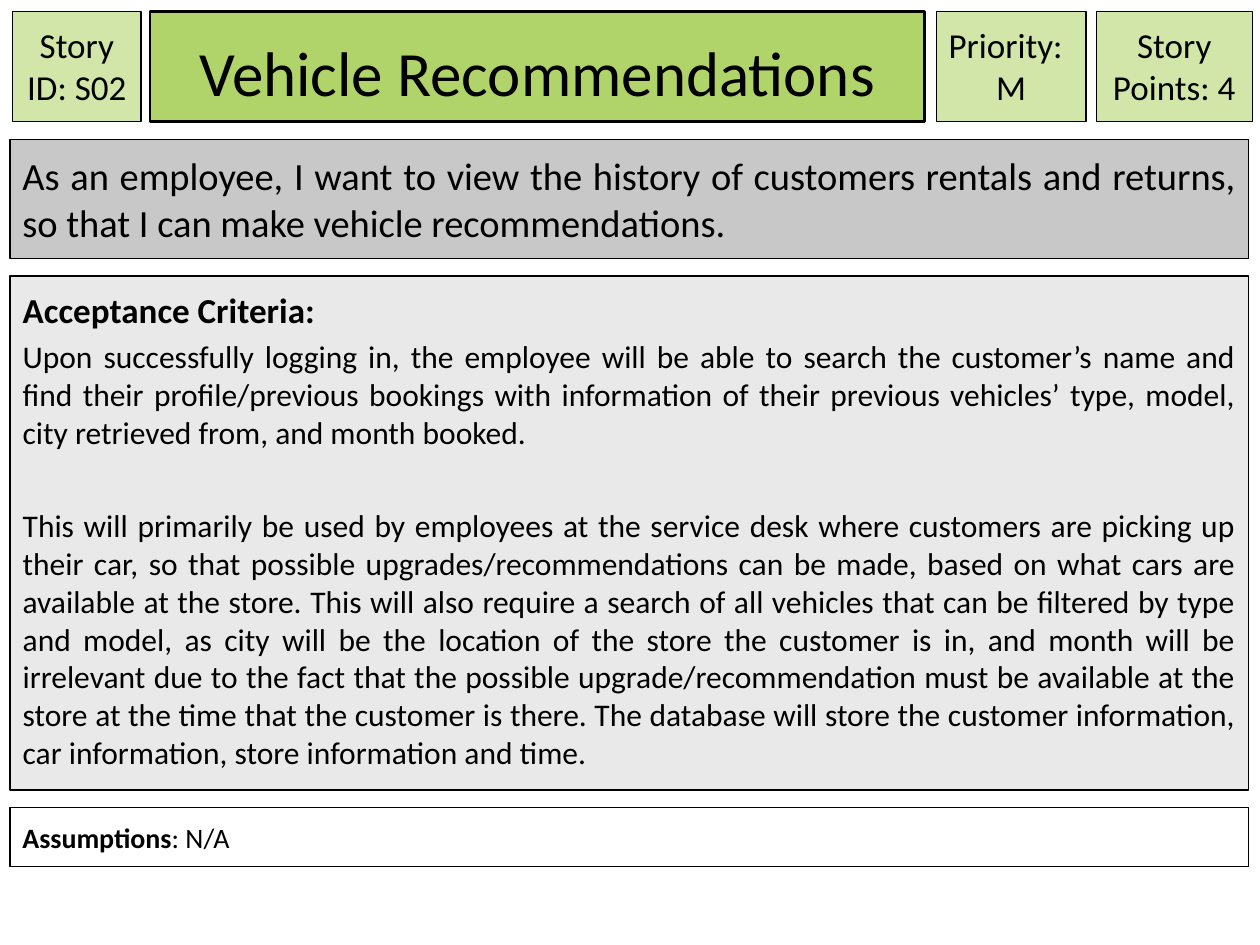
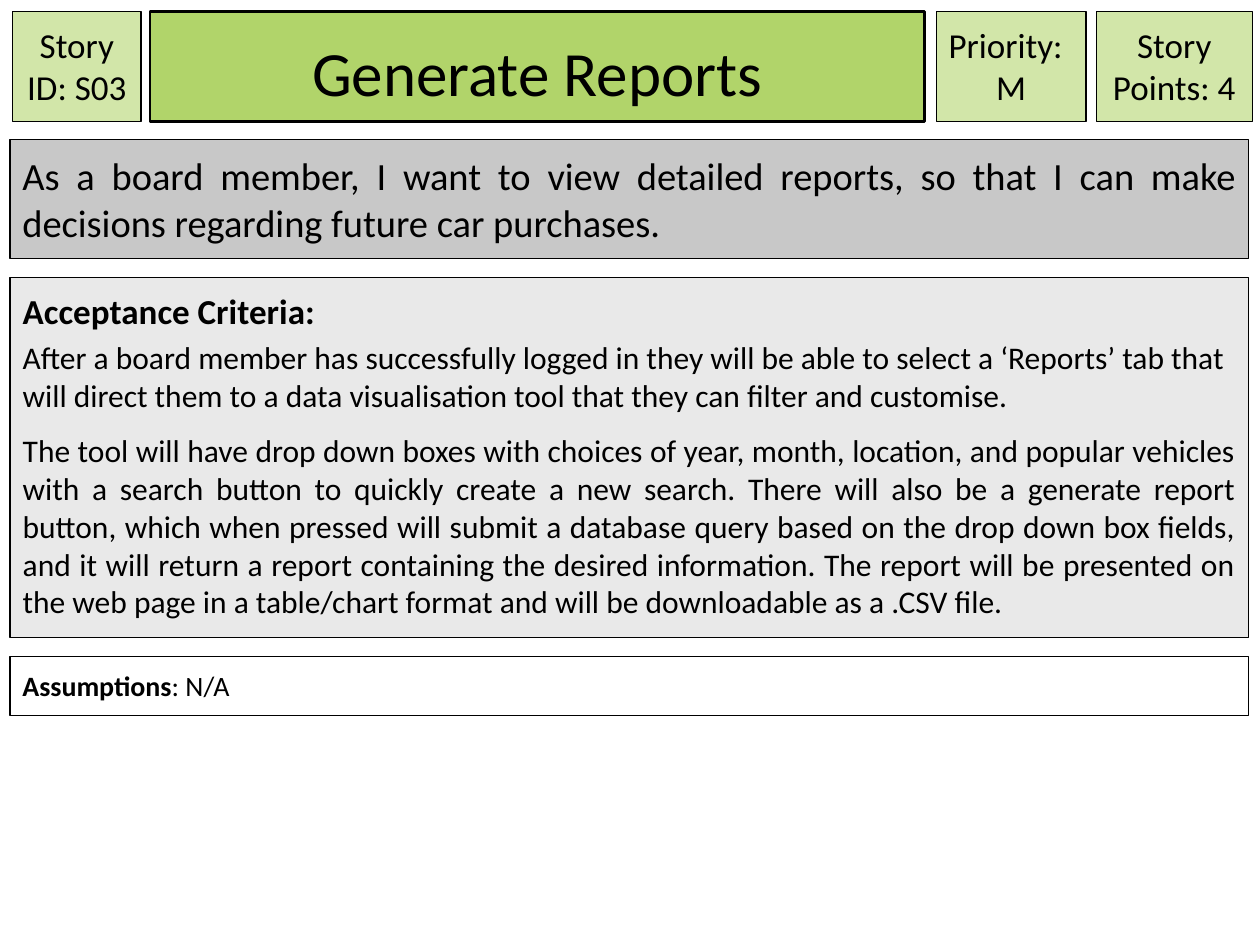
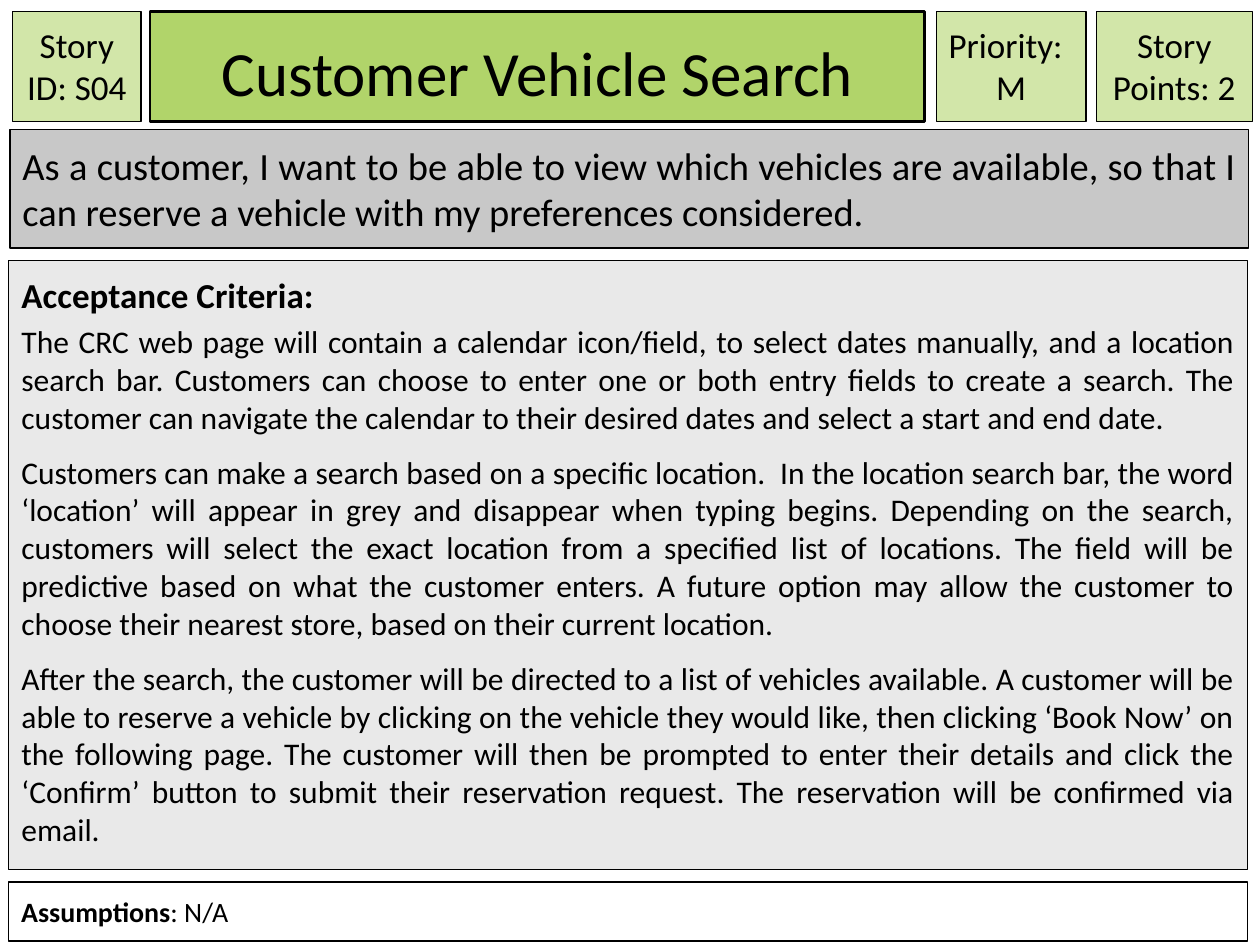
from dataclasses import dataclass
from lxml.etree import SubElement
from pptx import Presentation
from pptx.dml.color import RGBColor
from pptx.enum.shapes import MSO_SHAPE
from pptx.enum.text import MSO_ANCHOR, MSO_AUTO_SIZE, PP_ALIGN
from pptx.oxml.ns import qn
from pptx.util import Inches, Pt

COLUMNS, ROWS = 100, 75
CELL = Inches(0.1)
LEFT, CENTER, JUSTIFY = PP_ALIGN.LEFT, PP_ALIGN.CENTER, PP_ALIGN.JUSTIFY
BLACK, WHITE = "000000", "FFFFFF"
GREEN, PALE_GREEN = "B1D46A", "D2E6A9"
GREY, PALE_GREY = "C8C8C8", "E9E9E9"
HEADER_TOP, HEADER_HEIGHT = 0.9, 8.75
PANEL_WIDTH, STATEMENT_HEIGHT, ASSUMPTIONS_HEIGHT = 98.3, 9.4, 4.7
BODY_SPACING = {"space_before": Pt(3.8), "space_after": Pt(6)}
WIDE_SPACING = {"space_before": Pt(25.8), "space_after": Pt(6)}


def color(code):
    return RGBColor.from_string(code)


def apply(target, values):
    for name, value in values.items():
        setattr(target, name, value)


@dataclass
class Story:
    number: str
    points: int
    title: str
    statement: str
    criteria: list
    criteria_height: float
    statement_top: float = 11.1
    gap: float = 1.4
    panel_left: float = 0.8


class StoryDeck:
    font_name = "Calibri"

    def __init__(self):
        self.deck = Presentation()
        apply(self.deck, {"slide_width": COLUMNS * CELL, "slide_height": ROWS * CELL})
        self.page = None

    def add_page(self):
        self.page = self.deck.slides.add_slide(self.deck.slide_layouts[1])

    def style(self, box, area, fill, line_width=0.75, anchor=MSO_ANCHOR.TOP):
        names = ("left", "top", "width", "height")
        apply(box, {name: round(cells * CELL) for name, cells in zip(names, area)})
        box.fill.solid()
        box.fill.fore_color.rgb = color(fill)
        box.line.color.rgb = color(BLACK)
        box.line.width = Pt(line_width)
        frame = box.text_frame
        apply(frame, {"word_wrap": True, "auto_size": MSO_AUTO_SIZE.NONE,
                      "vertical_anchor": anchor})
        apply(frame, {f"margin_{side}": CELL for side in ("left", "top", "right", "bottom")})
        return frame

    def fill_text(self, frame, paragraphs):
        for index, (spans, size, alignment, spacing) in enumerate(paragraphs):
            para = frame.add_paragraph() if index else frame.paragraphs[0]
            properties = para._p.get_or_add_pPr()
            properties.set("marL", "0")
            properties.set("indent", "0")
            SubElement(properties, qn("a:buNone"))
            apply(para, {"alignment": alignment, "space_before": Pt(0),
                         "space_after": Pt(0), **spacing})
            for text, bold in spans:
                span = para.add_run()
                span.text = text
                apply(span.font, {"name": self.font_name, "size": Pt(size), "bold": bold})
                span.font.color.rgb = color(BLACK)

    def title(self, text, area):
        frame = self.style(self.page.shapes.title, area, GREEN, 1.5, MSO_ANCHOR.BOTTOM)
        self.fill_text(frame, [([(text, False)], 36, CENTER, {})])

    def body(self, paragraphs, area):
        frame = self.style(self.page.placeholders[1], area, PALE_GREY)
        self.fill_text(frame, paragraphs)

    def panel(self, paragraphs, area, fill):
        box = self.page.shapes.add_shape(MSO_SHAPE.RECTANGLE, 0, 0, CELL, CELL)
        box.shadow.inherit = False
        self.fill_text(self.style(box, area, fill), paragraphs)

    def badge(self, lines, left, width):
        paragraphs = [([(text, False)], 20, alignment, {}) for text, alignment in lines]
        self.panel(paragraphs, (left, HEADER_TOP, width, HEADER_HEIGHT), PALE_GREEN)

    def story(self, story):
        self.add_page()
        self.title(story.title, (11.9, HEADER_TOP, 61.5, HEADER_HEIGHT))
        self.badge([(f"Story ID: {story.number}", CENTER)], 1, 10.2)
        self.badge([("Priority:", LEFT), ("M", CENTER)], 74.3, 11.9)
        self.badge([(f"Story Points: {story.points}", CENTER)], 87, 12.4)
        self.panel([([(story.statement, False)], 22, JUSTIFY, {})],
                   (0.8, story.statement_top, PANEL_WIDTH, STATEMENT_HEIGHT), GREY)
        criteria_top = story.statement_top + STATEMENT_HEIGHT + story.gap
        heading = ([("Acceptance Criteria:", True)], 20, LEFT, {})
        criteria = [([(text, False)], 18, alignment, spacing)
                    for text, alignment, spacing in story.criteria]
        self.body([heading, *criteria],
                  (story.panel_left, criteria_top, PANEL_WIDTH, story.criteria_height))
        assumptions_top = criteria_top + story.criteria_height + story.gap
        self.panel([([("Assumptions", True), (": N/A", False)], 16, JUSTIFY, {})],
                   (story.panel_left, assumptions_top, PANEL_WIDTH, ASSUMPTIONS_HEIGHT), WHITE)


STORIES = [
    Story(
        "S02", 4, "Vehicle Recommendations",
        "As an employee, I want to view the history of customers rentals and returns, "
        "so that I can make vehicle recommendations.",
        [("Upon successfully logging in, the employee will be able to search the customer’s "
          "name and find their profile/previous bookings with information of their previous "
          "vehicles’ type, model, city retrieved from, and month booked.",
          JUSTIFY, BODY_SPACING),
         ("This will primarily be used by employees at the service desk where customers are "
          "picking up their car, so that possible upgrades/recommendations can be made, based "
          "on what cars are available at the store. This will also require a search of all "
          "vehicles that can be filtered by type and model, as city will be the location of "
          "the store the customer is in, and month will be irrelevant due to the fact that the "
          "possible upgrade/recommendation must be available at the store at the time that the "
          "customer is there. The database will store the customer information, car "
          "information, store information and time.",
          JUSTIFY, WIDE_SPACING)],
        criteria_height=40.8),
    Story(
        "S03", 4, "Generate Reports",
        "As a board member, I want to view detailed reports, so that I can make decisions "
        "regarding future car purchases.",
        [("After a board member has successfully logged in they will be able to select a "
          "‘Reports’ tab that will direct them to a data visualisation tool that they can "
          "filter and customise.",
          LEFT, BODY_SPACING),
         ("The tool will have drop down boxes with choices of year, month, location, and "
          "popular vehicles with a search button to quickly create a new search. There will "
          "also be a generate report button, which when pressed will submit a database query "
          "based on the drop down box fields, and it will return a report containing the "
          "desired information. The report will be presented on the web page in a table/chart "
          "format and will be downloadable as a .CSV file.",
          JUSTIFY, BODY_SPACING)],
        criteria_height=28.6, gap=1.5),
    Story(
        "S04", 2, "Customer Vehicle Search",
        "As a customer, I want to be able to view which vehicles are available, so that I "
        "can reserve a vehicle with my preferences considered.",
        [("The CRC web page will contain a calendar icon/field, to select dates manually, and "
          "a location search bar. Customers can choose to enter one or both entry fields to "
          "create a search. The customer can navigate the calendar to their desired dates and "
          "select a start and end date.",
          JUSTIFY, BODY_SPACING),
         ("Customers can make a search based on a specific location.  In the location search "
          "bar, the word ‘location’ will appear in grey and disappear when typing begins. "
          "Depending on the search, customers will select the exact location from a specified "
          "list of locations. The field will be predictive based on what the customer enters. "
          "A future option may allow the customer to choose their nearest store, based on "
          "their current location.",
          JUSTIFY, BODY_SPACING),
         ("After the search, the customer will be directed to a list of vehicles available. A "
          "customer will be able to reserve a vehicle by clicking on the vehicle they would "
          "like, then clicking ‘Book Now’ on the following page. The customer will then be "
          "prompted to enter their details and click the ‘Confirm’ button to submit their "
          "reservation request. The reservation will be confirmed via email.",
          JUSTIFY, BODY_SPACING)],
        criteria_height=48.3, statement_top=10.3, gap=1, panel_left=0.7),
]


def main():
    cards = StoryDeck()
    for story in STORIES:
        cards.story(story)
    cards.deck.save("out.pptx")


if __name__ == "__main__":
    main()
